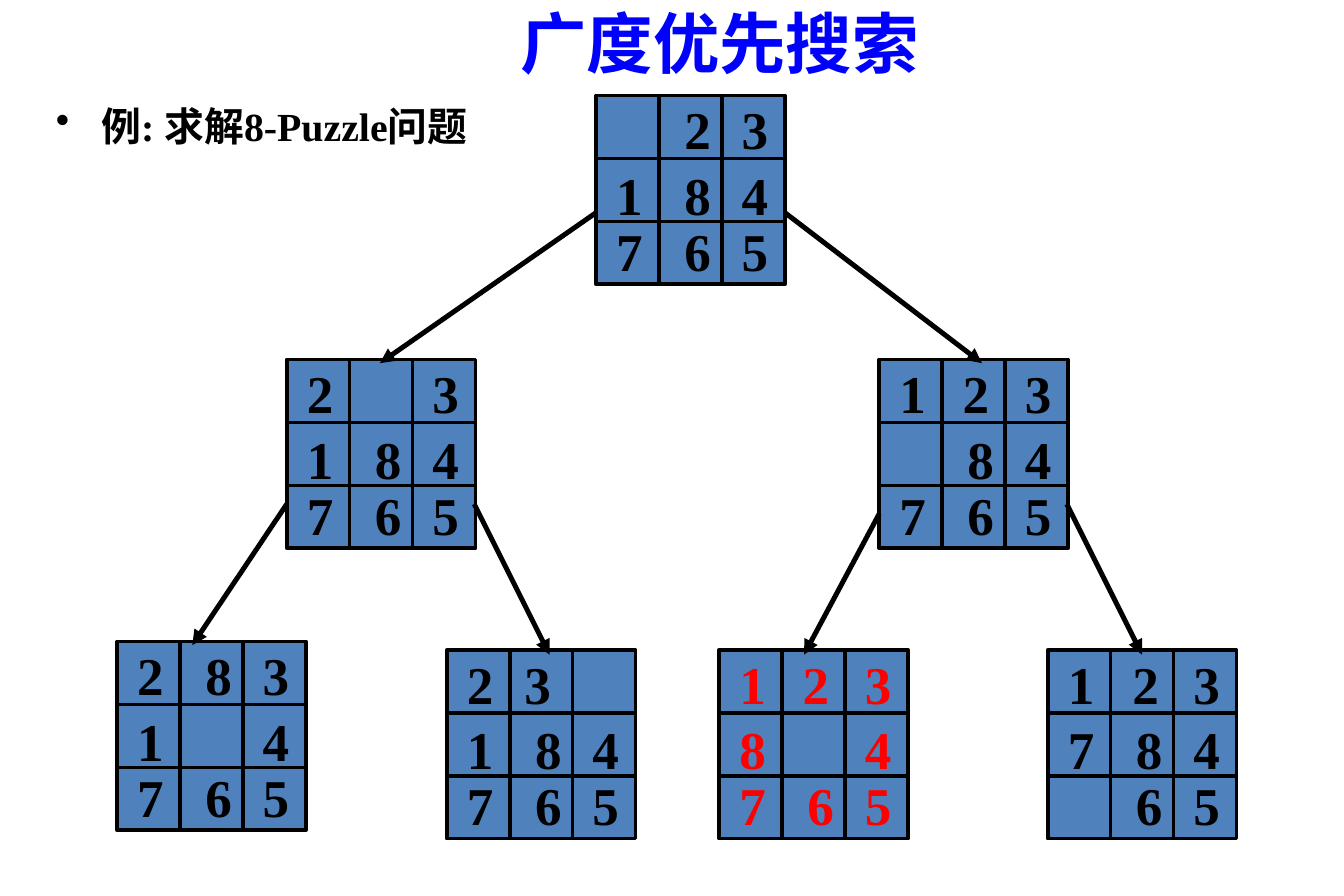
from dataclasses import dataclass

from lxml.etree import SubElement
from pptx import Presentation
from pptx.dml.color import RGBColor
from pptx.enum.shapes import MSO_CONNECTOR as Connector, MSO_SHAPE as Preset
from pptx.enum.text import MSO_ANCHOR as Anchor, MSO_AUTO_SIZE as AutoSize, PP_ALIGN as Align
from pptx.oxml.ns import qn
from pptx.util import Inches, Pt

BLACK = RGBColor(0x00, 0x00, 0x00)
WHITE = RGBColor(0xFF, 0xFF, 0xFF)
RED = RGBColor(0xFF, 0x00, 0x00)
TITLE_BLUE = RGBColor(0x00, 0x00, 0xFF)
BOARD_BLUE = RGBColor(0x4F, 0x81, 0xBD)
LATIN_FONT = "Times New Roman"
CHINESE_FONT = "Noto Sans CJK SC"

BOARD_SIZE = 1.58
CELL = BOARD_SIZE / 3
DIGIT_LEFTS = (0.07, 0.64, 1.12)
DIGIT_TOPS = (-0.04, 0.51, 0.98)


@dataclass(frozen=True)
class Board:
    left: float
    top: float
    rows: tuple[str, str, str]
    top_middle: float = 0.64  # offset of the digit in the middle of the first row
    color: RGBColor = BLACK


@dataclass(frozen=True)
class Arrow:
    start: tuple[float, float]
    end: tuple[float, float]


BOARDS = (
    Board(4.99, 0.8, (" 23", "184", "765")),
    Board(2.4, 3.01, ("2 3", "184", "765")),
    Board(7.36, 3.01, ("123", " 84", "765"), 0.6),
    Board(6.02, 5.44, ("123", "8 4", "765"), 0.6, RED),
    Board(8.77, 5.44, ("123", "784", " 65"), 0.61),
    Board(3.74, 5.44, ("23 ", "184", "765"), 0.55),
    Board(0.98, 5.37, ("283", "1 4", "765")),
)

ARROWS = (
    Arrow((4.99, 1.78), (3.18, 3.04)),
    Arrow((6.57, 1.78), (8.22, 3.04)),
    Arrow((2.4, 4.22), (1.61, 5.4)),
    Arrow((3.97, 4.22), (4.6, 5.48)),
    Arrow((7.36, 4.3), (6.73, 5.48)),
    Arrow((8.93, 4.22), (9.56, 5.48)),
)


def write_text(shape, text: str, size: int, color: RGBColor, font_name: str = LATIN_FONT):
    """Put one bold line of text in a shape and return its paragraph."""
    frame = shape.text_frame
    frame.text = text
    frame.vertical_anchor = Anchor.TOP
    paragraph = frame.paragraphs[0]
    run = paragraph.runs[0]
    run.font.name = font_name
    run.font.size = Pt(size)
    run.font.bold = True
    run.font.color.rgb = color
    SubElement(run.font._element, qn("a:ea"), typeface=CHINESE_FONT)
    return paragraph


def add_label(shapes, left: float, top: float, width: float, height: float):
    """Add an unwrapped text box that grows with its text."""
    box = shapes.add_textbox(Inches(left), Inches(top), Inches(width), Inches(height))
    box.text_frame.word_wrap = False
    box.text_frame.auto_size = AutoSize.SHAPE_TO_FIT_TEXT
    return box


def add_line(shapes, start: tuple[float, float], end: tuple[float, float], width: float):
    line = shapes.add_connector(
        Connector.STRAIGHT, *(Inches(value) for value in (*start, *end)))
    line.line.color.rgb = BLACK
    line.line.width = Pt(width)
    SubElement(line._element.spPr, qn("a:effectLst"))
    return line


def add_arrow(shapes, arrow: Arrow) -> None:
    line = add_line(shapes, arrow.start, arrow.end, 3)
    SubElement(line.line._get_or_add_ln(), qn("a:tailEnd"), type="triangle")


def add_rectangle(shapes, left: float, top: float, width: float, height: float, fill: RGBColor):
    rectangle = shapes.add_shape(
        Preset.RECTANGLE, Inches(left), Inches(top), Inches(width), Inches(height))
    rectangle.shadow.inherit = False
    rectangle.fill.solid()
    rectangle.fill.fore_color.rgb = fill
    return rectangle


def add_board(slide, board: Board) -> None:
    """Draw a puzzle state as one group."""
    shapes = slide.shapes.add_group_shape().shapes
    left, top = board.left, board.top
    square = add_rectangle(shapes, left, top, BOARD_SIZE, BOARD_SIZE, BOARD_BLUE)
    square.line.color.rgb = BLACK
    square.line.width = Pt(2.25)

    # Inner grid
    for step in (CELL, 2 * CELL):
        add_line(shapes, (left, top + step), (left + BOARD_SIZE, top + step), 2.25)
        add_line(shapes, (left + step, top), (left + step, top + BOARD_SIZE), 2.25)

    # Digits
    for row, digits in enumerate(board.rows):
        for column, digit in enumerate(digits):
            if digit == " ":
                continue
            offset = board.top_middle if (row, column) == (0, 1) else DIGIT_LEFTS[column]
            label = add_label(shapes, left + offset, top + DIGIT_TOPS[row], 0.42, 0.63)
            write_text(label, digit, 32, board.color)


def add_example(slide) -> None:
    """Add the bulleted statement of the example."""
    box = add_rectangle(slide.shapes, 0.37, 0.8, 4.23, 0.43, WHITE)
    box.line.fill.background()
    box.text_frame.word_wrap = True
    paragraph = write_text(box, "例: 求解8-Puzzle问题", 24, BLACK)
    paragraph.alignment = Align.JUSTIFY
    properties = paragraph._p.get_or_add_pPr()
    properties.set("marL", str(Inches(0.38)))
    properties.set("indent", str(-Inches(0.38)))
    SubElement(properties, qn("a:buChar"), char="•")


def main() -> None:
    presentation = Presentation()
    presentation.slide_width = Inches(11.25)
    presentation.slide_height = Inches(7.5)
    slide = presentation.slides.add_slide(presentation.slide_layouts[6])

    # Search tree
    add_example(slide)
    for board in BOARDS:
        add_board(slide, board)
    for arrow in ARROWS:
        add_arrow(slide.shapes, arrow)

    # Title
    title = add_label(slide.shapes, 4.26, -0.03, 3.57, 0.77)
    write_text(title, "广度优先搜索", 40, TITLE_BLUE, CHINESE_FONT).alignment = Align.JUSTIFY

    presentation.save("out.pptx")


if __name__ == "__main__":
    main()
